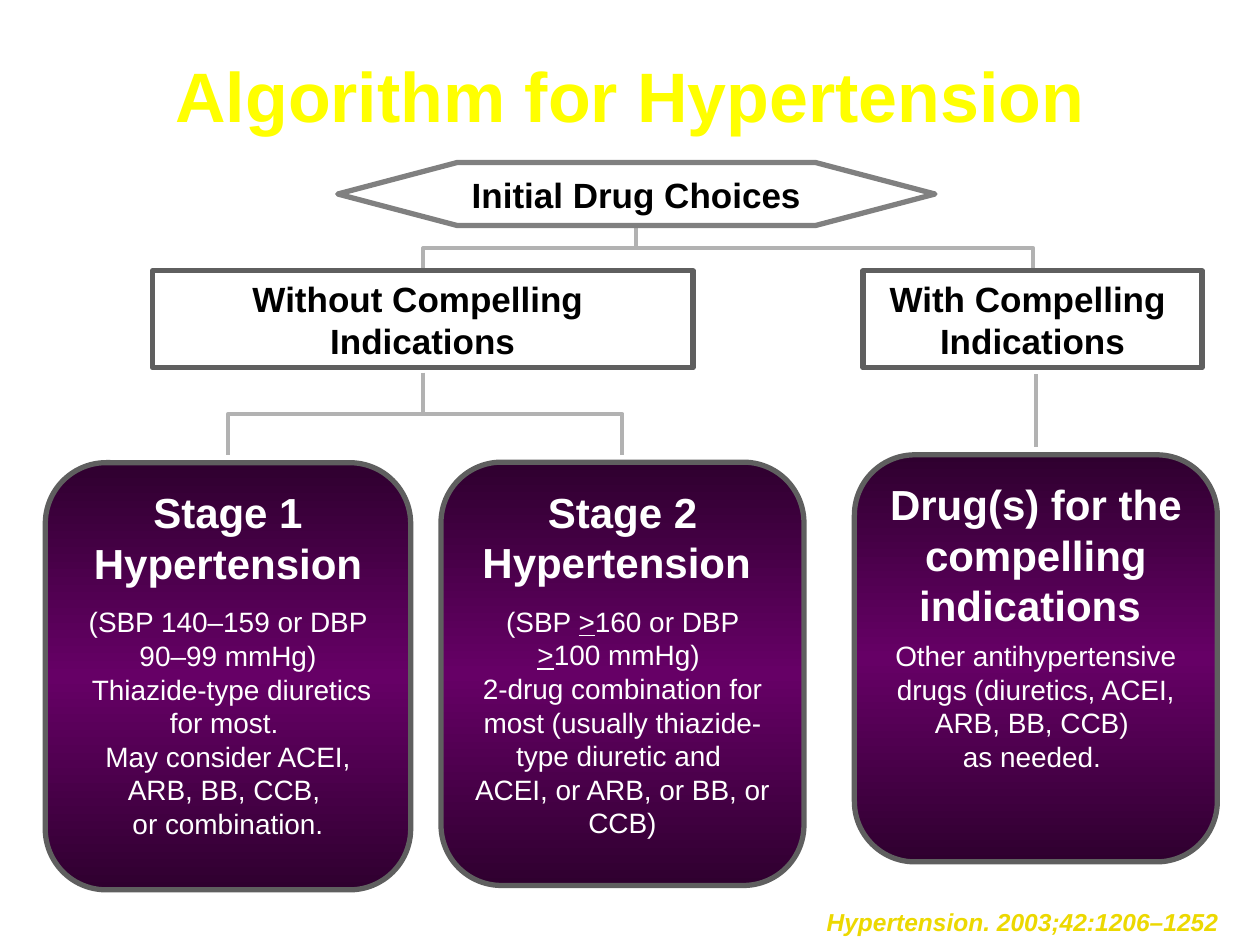
from copy import deepcopy

from lxml import etree
from pptx import Presentation
from pptx.dml.color import RGBColor
from pptx.enum.shapes import MSO_CONNECTOR as LINK, MSO_SHAPE as SHAPE
from pptx.enum.text import MSO_ANCHOR as ANCHOR, PP_ALIGN as ALIGN
from pptx.oxml.ns import qn
from pptx.util import Pt

YELLOW = RGBColor(0xFF, 0xFF, 0x00)
GOLD = RGBColor(0xEC, 0xD8, 0x00)
WHITE = RGBColor(0xFF, 0xFF, 0xFF)
BLACK = RGBColor(0x00, 0x00, 0x00)
DARK_GREY = RGBColor(0x5F, 0x5F, 0x5F)
MID_GREY = RGBColor(0x80, 0x80, 0x80)
LIGHT_GREY = RGBColor(0xB2, 0xB2, 0xB2)
DEEP_PURPLE = RGBColor(0x2F, 0x00, 0x2F)
PURPLE = RGBColor(0x66, 0x00, 0x66)


class FlowSlide:
    """Holds the style and the slide being drawn."""

    font_name = "Arial"
    outline_width = Pt(3)
    link_width = Pt(2.25)

    def __init__(self, slide):
        self.slide = slide

    def style(self, paragraph, size, color, bold=False, italic=False, align=ALIGN.CENTER):
        paragraph.alignment = align
        font = paragraph.font
        font.name, font.size, font.bold, font.italic = self.font_name, Pt(size), bold, italic
        font.color.rgb = color

    def title(self, text, left, top, width, height):
        heading = self.slide.shapes.title
        heading.left, heading.top, heading.width, heading.height = map(
            Pt, (left, top, width, height))
        frame = heading.text_frame
        frame.text = text
        frame.vertical_anchor = ANCHOR.MIDDLE
        self.style(frame.paragraphs[0], 40, YELLOW, bold=True)
        # Black drop shadow behind the letters
        effects = etree.SubElement(frame.paragraphs[0].runs[0].font._element, qn("a:effectLst"))
        shadow = etree.SubElement(effects, qn("a:outerShdw"), dist="25400", dir="2700000")
        etree.SubElement(shadow, qn("a:srgbClr"), val="000000")

    def node(self, kind, left, top, width, height, outline):
        node = self.slide.shapes.add_shape(kind, Pt(left), Pt(top), Pt(width), Pt(height))
        node.shadow.inherit = False
        node.line.color.rgb = outline
        node.line.width = self.outline_width
        return node

    def label(self, text, kind, left, top, width, height, outline, wrap=True):
        node = self.node(kind, left, top, width, height, outline)
        node.fill.solid()
        node.fill.fore_color.rgb = WHITE
        frame = node.text_frame
        frame.word_wrap = wrap
        frame.vertical_anchor = ANCHOR.TOP if wrap else ANCHOR.MIDDLE
        frame.paragraphs[0].text = text
        self.style(frame.paragraphs[0], 20, BLACK, bold=True)

    def card(self, heading, detail, gap, left, top, width, height):
        node = self.node(SHAPE.FLOWCHART_ALTERNATE_PROCESS, left, top, width, height, DARK_GREY)
        self.purple_gradient(node)
        frame = node.text_frame
        frame.word_wrap = True
        frame.vertical_anchor = ANCHOR.TOP
        first = frame.paragraphs[0]
        first.text = heading
        self.style(first, 24, WHITE, bold=True)
        second = frame.add_paragraph()
        second.space_before = Pt(gap)
        self.underline_signs(second, detail)
        self.style(second, 16, WHITE)

    def purple_gradient(self, node):
        node.fill.gradient()
        node.fill.gradient_angle = 90
        stop_list = node._element.spPr.find(".//" + qn("a:gsLst"))
        stop_list.append(deepcopy(stop_list[0]))
        colors = (DEEP_PURPLE, PURPLE, DEEP_PURPLE)
        for stop, position, color in zip(node.fill.gradient_stops, (0, 0.5, 1), colors):
            stop.position = position
            stop.color.rgb = color

    def underline_signs(self, paragraph, text):
        """Write the text with each > underlined, as 'at least'."""
        for line_no, line in enumerate(text.split("\n")):
            if line_no:
                paragraph.add_line_break()
            for piece_no, piece in enumerate(line.split(">")):
                if piece_no:
                    sign = paragraph.add_run()
                    sign.text = ">"
                    sign.font.underline = True
                if piece:
                    paragraph.add_run().text = piece

    def link(self, kind, x1, y1, x2, y2):
        link = self.slide.shapes.add_connector(kind, Pt(x1), Pt(y1), Pt(x2), Pt(y2))
        link.line.color.rgb = LIGHT_GREY
        link.line.width = self.link_width
        etree.SubElement(link._element.spPr, qn("a:effectLst"))
        return link

    def branch(self, x1, y1, x2, y2):
        """Elbow that leaves downwards: a box turned a quarter about its centre."""
        link = self.link(LINK.ELBOW, x1, y1, x2, y2)
        run, drop = abs(x2 - x1), y2 - y1
        link.left, link.top = Pt((x1 + x2 - drop) / 2), Pt((y1 + y2 - run) / 2)
        link.width, link.height = Pt(drop), Pt(run)
        to_right = x2 > x1
        frame = link._element.spPr.find(qn("a:xfrm"))
        frame.set("rot", str((270 if to_right else 90) * 60000))
        frame.set("flipH", "1" if to_right else "0")

    def citation(self, text, left, top, width, height):
        box = self.slide.shapes.add_textbox(Pt(left), Pt(top), Pt(width), Pt(height))
        frame = box.text_frame
        frame.word_wrap = True
        frame.paragraphs[0].text = text
        self.style(frame.paragraphs[0], 14, GOLD, bold=True, italic=True, align=ALIGN.RIGHT)


def main():
    deck = Presentation()
    deck.slide_width, deck.slide_height = Pt(720), Pt(540)
    flow = FlowSlide(deck.slides.add_slide(deck.slide_layouts[5]))

    flow.title("Algorithm for Hypertension", 24, 12, 672, 84)

    # Links, from parent to child
    without_x = 241.8
    flow.link(LINK.STRAIGHT, 591.8, 213.8, 591.8, 255.6)
    for stage_x in (130.3, 355.7):
        flow.branch(without_x, 213.1, stage_x, 259.9)
    for group_x in (without_x, 590.4):
        flow.branch(363.6, 130.3, group_x, 153.4)

    # Treatment cards
    flow.card("Drug(s) for the compelling indications ",
              "Other antihypertensive drugs (diuretics, ACEI, ARB, BB, CCB) \nas needed. ",
              5, 488.2, 259.9, 207.4, 232.6)
    flow.card("Stage 1 Hypertension",
              "(SBP 140–159 or DBP 90–99 mmHg)\n Thiazide-type diuretics for most. \n"
              "May consider ACEI, ARB, BB, CCB, \nor combination.",
              10, 25.9, 264.4, 208.8, 244.1)
    flow.card("Stage 2 Hypertension ",
              "(SBP >160 or DBP >100 mmHg) \n2-drug combination for most "
              "(usually thiazide-type diuretic and \nACEI, or ARB, or BB, or CCB)",
              10, 252, 264.1, 207.4, 241.9)

    # Decision labels
    flow.label("Initial Drug Choices", SHAPE.FLOWCHART_PREPARATION,
               193, 92.9, 341.3, 36, MID_GREY, wrap=False)
    for text, left, width in (("With Compelling \nIndications", 493.2, 193.7),
                              ("Without Compelling \nIndications", 87.1, 308.9)):
        flow.label(text, SHAPE.RECTANGLE, left, 154.8, width, 55.4, DARK_GREY)

    flow.citation("Hypertension. 2003;42:1206–1252", 426.2, 514.8, 277.2, 23.8)

    deck.save("out.pptx")


if __name__ == "__main__":
    main()
